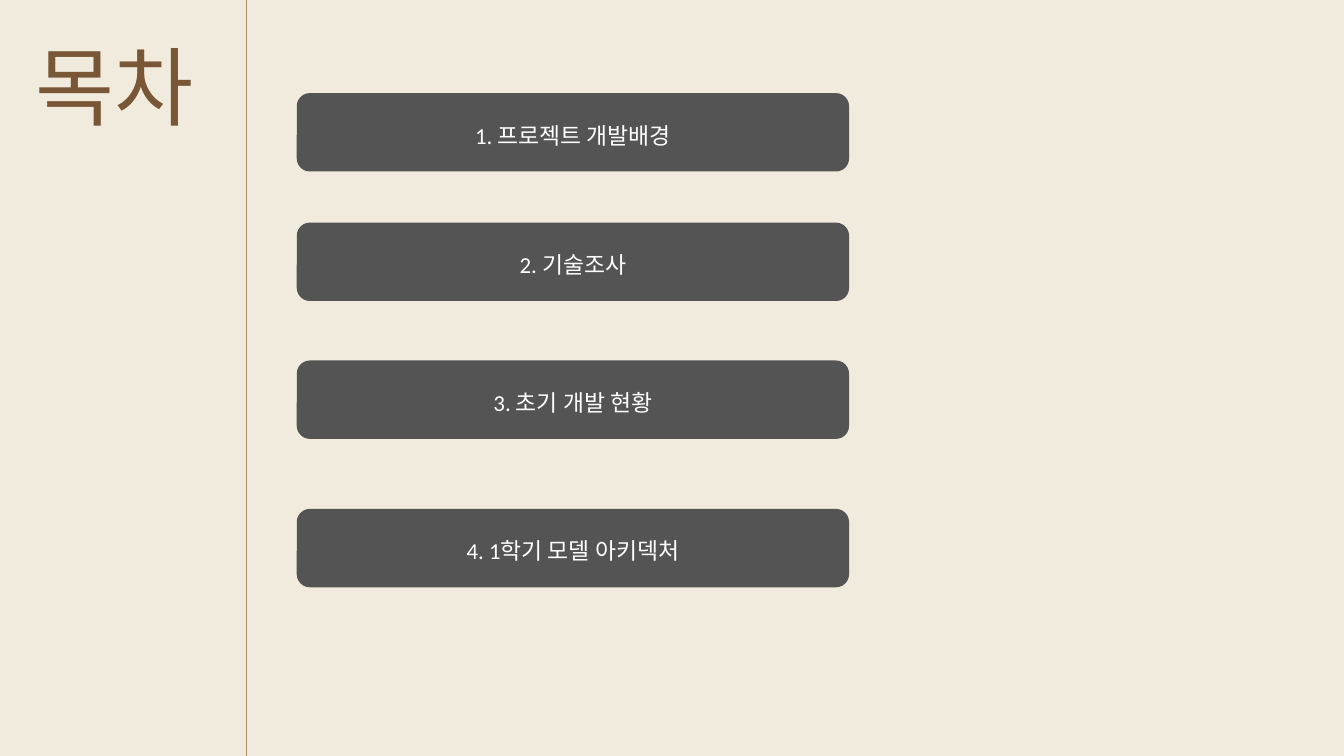
from lxml import etree
from pptx import Presentation
from pptx import util as u
from pptx.dml.color import RGBColor
from pptx.enum import shapes, text
from pptx.oxml.ns import qn

PX = 9525
HEX = {"back": "F1EBDE", "title": "795635", "rule": "AB8A66",
       "bar": "545454", "label": "FFFFFF"}
KOREAN = "Noto Sans CJK KR"


def color(key):
    return RGBColor.from_string(HEX[key])


def style(para, size, lead, key, latin):
    para.alignment = text.PP_ALIGN.CENTER
    para.line_spacing = u.Pt(lead)
    font = para.font
    font.size = u.Pt(size)
    font.color.rgb = color(key)
    font.name = latin
    props = para._p.pPr.find(qn("a:defRPr"))
    etree.SubElement(props, qn("a:ea"), typeface=KOREAN)


prs = Presentation()
prs.slide_width, prs.slide_height = 1920 * PX, 1080 * PX
slide = prs.slides.add_slide(prs.slide_layouts[5])
slide.background.fill.solid()
slide.background.fill.fore_color.rgb = color("back")

# Title
title = slide.shapes.title
title.left, title.top = -25 * PX, 23 * PX
title.width, title.height = 377 * PX, 164 * PX
frame = title.text_frame
frame.margin_left = frame.margin_right = 0
frame.margin_top = frame.margin_bottom = 0
frame.vertical_anchor = text.MSO_ANCHOR.TOP
frame.word_wrap = True
frame.auto_size = text.MSO_AUTO_SIZE.SHAPE_TO_FIT_TEXT
frame.text = "목차"
style(frame.paragraphs[0], 92, 128.8, "title", KOREAN)

# Vertical rule
rule = slide.shapes.add_connector(
    shapes.MSO_CONNECTOR.STRAIGHT, 352 * PX, 1080 * PX, 352 * PX, 0)
rule.line.color.rgb = color("rule")
rule.line.width = u.Pt(1.5)
etree.SubElement(rule._element.spPr, qn("a:effectLst"))

# Contents bars
items = [
    (133, "1. 프로젝트 개발배경"),
    (318, "2. 기술조사"),
    (515, "3. 초기 개발 현황"),
    (727, "4. 1학기 모델 아키덱처"),
]
for top, label in items:
    bar = slide.shapes.add_shape(
        shapes.MSO_SHAPE.ROUNDED_RECTANGLE,
        424 * PX, top * PX, 789 * PX, 112 * PX)
    bar.shadow.inherit = False
    bar.fill.solid()
    bar.fill.fore_color.rgb = color("bar")
    bar.line.fill.background()
    frame = bar.text_frame
    frame.margin_left = frame.margin_right = 6 * PX
    frame.margin_top = frame.margin_bottom = 6 * PX
    frame.vertical_anchor = text.MSO_ANCHOR.MIDDLE
    frame.word_wrap = True
    frame.text = label
    style(frame.paragraphs[0], 24.5, 35, "label", "Calibri")

prs.save("out.pptx")
